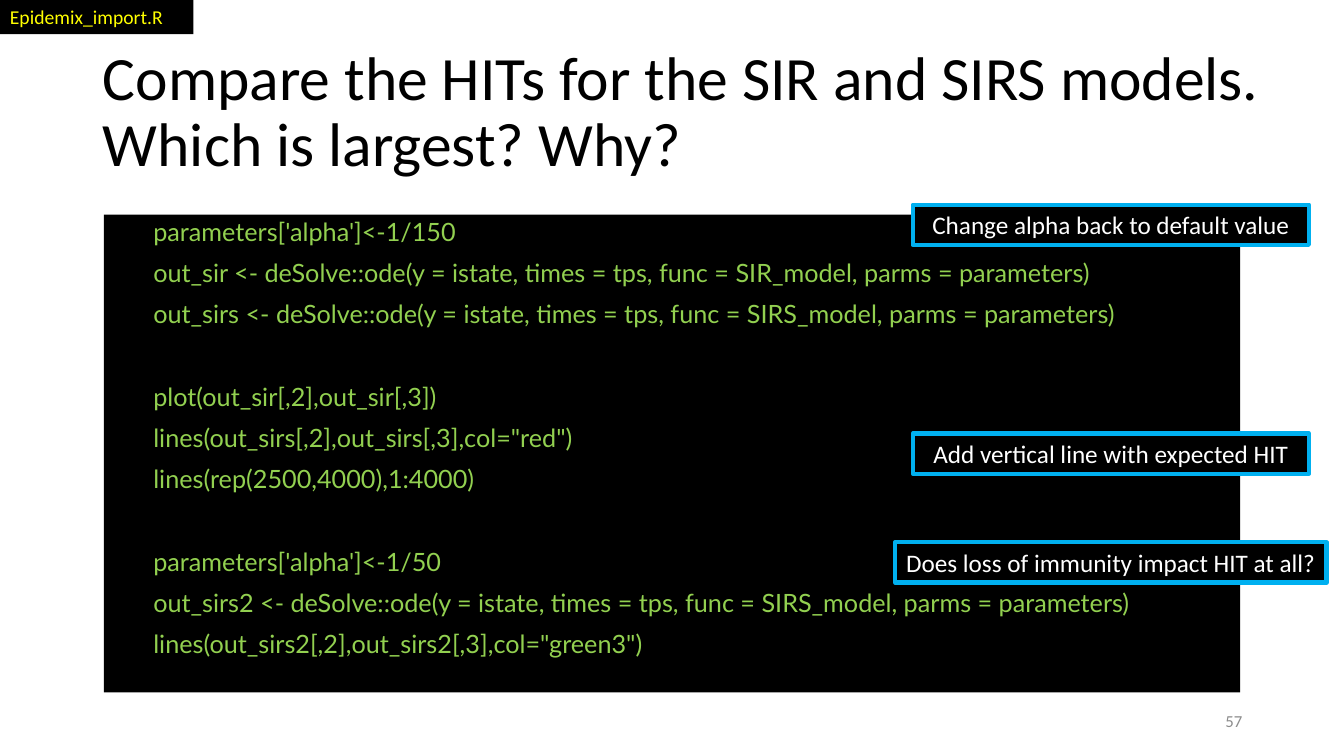
from dataclasses import dataclass

from pptx import Presentation
from pptx import util as u
from pptx.dml.color import RGBColor
from pptx.enum import shapes, text


@dataclass(frozen=True)
class Theme:
    body_font: str = "Calibri"
    code_font: str = "Lato"
    ink: str = "000000"
    paper: str = "FFFFFF"
    code: str = "92D050"
    accent: str = "00B0F0"
    file_name: str = "FFFF00"
    muted: str = "8C8C8C"
    title_size: int = 44
    body_size: int = 18
    tag_size: int = 14
    number_size: int = 12
    border: int = 3
    leading: float = 0.9
    line_gap: int = 10
    block_gap: float = 39.5


TITLE = "Compare the HITs for the SIR and SIRS models. Which is largest? Why?"
CODE_BLOCKS = [
    [
        "parameters['alpha']<-1/150",
        "out_sir <- deSolve::ode(y = istate, times = tps, func = SIR_model, parms = parameters)",
        "out_sirs <- deSolve::ode(y = istate, times = tps, func = SIRS_model, parms = parameters)",
    ],
    [
        "plot(out_sir[,2],out_sir[,3])",
        'lines(out_sirs[,2],out_sirs[,3],col="red")',
        "lines(rep(2500,4000),1:4000)",
    ],
    [
        "parameters['alpha']<-1/50",
        "out_sirs2 <- deSolve::ode(y = istate, times = tps, func = SIRS_model, parms = parameters)",
        'lines(out_sirs2[,2],out_sirs2[,3],col="green3")',
    ],
]
CALLOUTS = [
    ("Change alpha back to default value", 27.07, 29.48),
    ("Add vertical line with expected HIT", 57.33, 29.48),
    ("Does loss of immunity impact HIT at all?", 71.73, 32.11),
]
CALLOUT_CENTRE = 82.65


class SlideBuilder:
    def __init__(self, prs, theme):
        self.theme = theme
        self.width, self.height = prs.slide_width, prs.slide_height
        self.s = prs.slides.add_slide(prs.slide_layouts[5])

    def box(self, left, top, width, height):
        return (
            int(self.width * left / 100),
            int(self.height * top / 100),
            int(self.width * width / 100),
            int(self.height * height / 100),
        )

    def set_text(self, p, words, size, color, align=text.PP_ALIGN.LEFT, font=None):
        p.text = words
        p.alignment = align
        p.font.name = font or self.theme.body_font
        p.font.size = u.Pt(size)
        p.font.color.rgb = RGBColor.from_string(color)

    def title(self, words, *area):
        sp = self.s.shapes.title
        sp.left, sp.top, sp.width, sp.height = self.box(*area)
        tf = sp.text_frame
        tf.auto_size = text.MSO_AUTO_SIZE.NONE
        tf.vertical_anchor = text.MSO_ANCHOR.MIDDLE
        p = tf.paragraphs[0]
        self.set_text(p, words, self.theme.title_size, self.theme.ink)
        p.line_spacing = self.theme.leading

    def panel(self, *area):
        sp = self.s.shapes.add_shape(shapes.MSO_SHAPE.RECTANGLE, *self.box(*area))
        sp.shadow.inherit = False
        sp.fill.solid()
        sp.fill.fore_color.rgb = RGBColor.from_string(self.theme.ink)
        sp.line.fill.background()
        sp.text_frame.word_wrap = True
        sp.text_frame.vertical_anchor = text.MSO_ANCHOR.TOP
        return sp

    def code(self, blocks, *area):
        theme = self.theme
        tf = self.panel(*area).text_frame
        tf.margin_left = u.Inches(0.49)
        p = tf.paragraphs[0]
        for b, block in enumerate(blocks):
            for i, line in enumerate(block):
                if b or i:
                    p = tf.add_paragraph()
                    p.space_before = u.Pt(theme.line_gap if i else theme.block_gap)
                self.set_text(p, line, theme.body_size, theme.code, font=theme.code_font)
                p.line_spacing = theme.leading

    def callout(self, words, centre, top, width):
        sp = self.panel(centre - width / 2, top, width, 5.33)
        sp.line.color.rgb = RGBColor.from_string(self.theme.accent)
        sp.line.width = u.Pt(self.theme.border)
        self.set_text(sp.text_frame.paragraphs[0], words, self.theme.body_size,
                      self.theme.paper, text.PP_ALIGN.CENTER)

    def file_tag(self, words, *area):
        sp = self.panel(*area)
        self.set_text(sp.text_frame.paragraphs[0], words, self.theme.tag_size,
                      self.theme.file_name)

    def page_number(self, words, *area):
        tf = self.s.shapes.add_textbox(*self.box(*area)).text_frame
        tf.word_wrap = True
        tf.vertical_anchor = text.MSO_ANCHOR.MIDDLE
        self.set_text(tf.paragraphs[0], words, self.theme.number_size,
                      self.theme.muted, text.PP_ALIGN.RIGHT)


def main():
    prs = Presentation()
    prs.slide_width, prs.slide_height = u.Inches(13.33), u.Inches(7.5)
    slide = SlideBuilder(prs, Theme())
    slide.title(TITLE, 6.9, 5.33, 88.82, 19.33)
    slide.code(CODE_BLOCKS, 7.73, 28.4, 84.55, 63.2)
    slide.page_number("57", 70.67, 92.67, 22.5, 5.33)
    for words, top, width in CALLOUTS:
        slide.callout(words, CALLOUT_CENTRE, top, width)
    slide.file_tag("Epidemix_import.R", 0, 0, 14.4, 4.53)
    prs.save("out.pptx")


if __name__ == "__main__":
    main()
